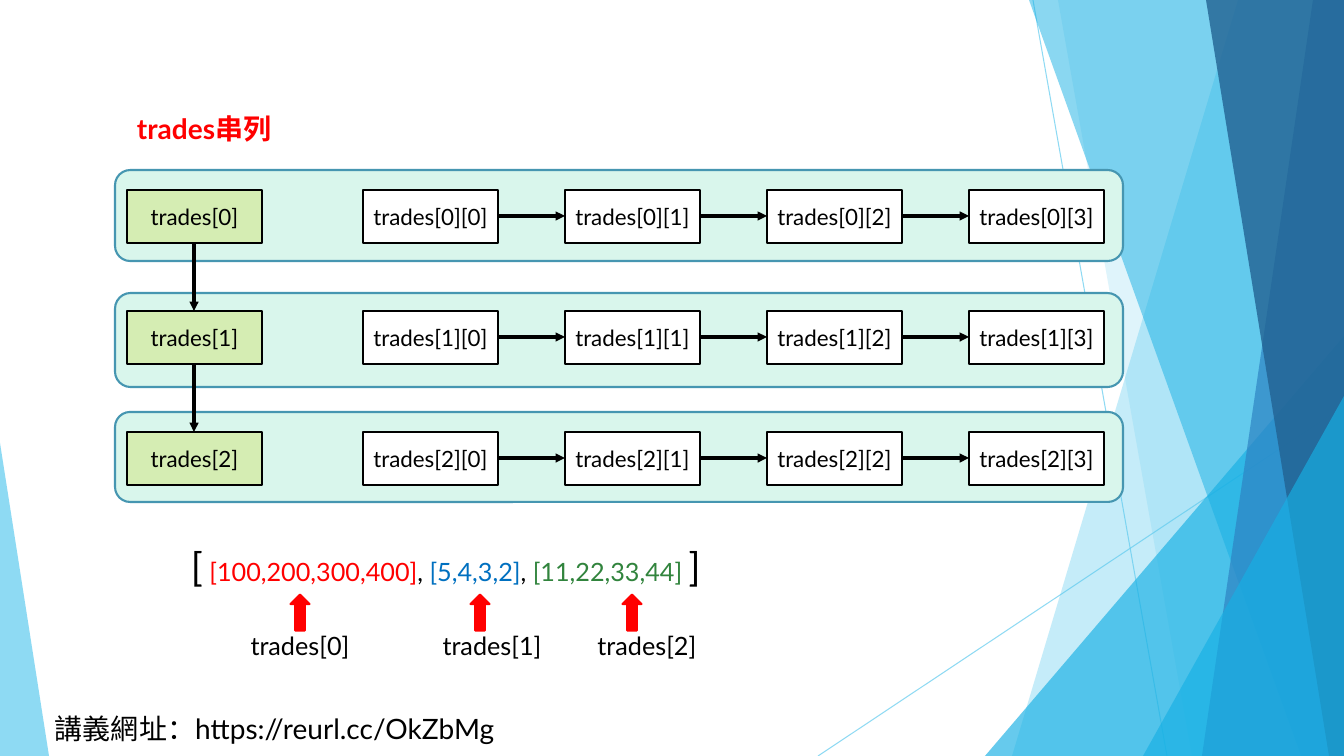
from pptx import Presentation
from pptx.dml.color import RGBColor
from pptx.enum.shapes import MSO_CONNECTOR, MSO_SHAPE
from pptx.enum.text import MSO_ANCHOR, PP_ALIGN
from pptx.oxml.ns import qn
from pptx.util import Pt
from lxml import etree

PX = 9071
STRAIGHT = MSO_CONNECTOR.STRAIGHT
RECT = MSO_SHAPE.RECTANGLE
ROUND = MSO_SHAPE.ROUNDED_RECTANGLE
PEAK = MSO_SHAPE.ISOSCELES_TRIANGLE
ARROW = MSO_SHAPE.RIGHT_ARROW
MIDDLE = MSO_ANCHOR.MIDDLE
CENTER, LEFT = PP_ALIGN.CENTER, PP_ALIGN.LEFT
FONT = "Lato"
HEX = {
    "sky": "5FCBEF", "cyan": "17B0E4", "blue": "2E83C3", "navy": "226292",
    "mint": "D9F6EC", "teal": "4696B1", "lime": "D5EDB3", "white": "FFFFFF",
    "black": "000000", "red": "FF0000", "azure": "0070C0", "green": "31843D",
}
RGB = {name: RGBColor.from_string(code) for name, code in HEX.items()}

deck = Presentation()
deck.slide_width, deck.slide_height = 1344 * PX, 756 * PX
slide = deck.slides.add_slide(deck.slide_layouts[6])
shapes = slide.shapes


def paint(shape, fill, edge=None, alpha=100):
    shape.shadow.inherit = False
    shape.fill.solid()
    shape.fill.fore_color.rgb = RGB[fill]
    if alpha < 100:
        color = shape.element.spPr.find(".//" + qn("a:srgbClr"))
        etree.SubElement(color, qn("a:alpha"), val=str(alpha * 1000))
    if edge:
        shape.line.color.rgb = RGB[edge]
        shape.line.width = Pt(1.5)
    else:
        shape.line.fill.background()


def wire(ends, hue="black", width=2.25, alpha=100, head=True):
    link = shapes.add_connector(STRAIGHT, *[v * PX for v in ends])
    link.line.color.rgb = RGB[hue]
    link.line.width = Pt(width)
    props = link.element.spPr
    if alpha < 100:
        color = props.find(".//" + qn("a:srgbClr"))
        etree.SubElement(color, qn("a:alpha"), val=str(alpha * 1000))
    if head:
        etree.SubElement(props.find(qn("a:ln")), qn("a:tailEnd"), type="triangle")
    etree.SubElement(props, qn("a:effectLst"))


for ends in [(1033, 0, 1167, 756), (1344, 406, 818, 756)]:
    wire(ends, "sky", 0.75, 70, False)

shards = [
    ((1238, 1012), "sky", 36),
    ((1058, 1192), "sky", 20),
    ((985, 336, 359, 420, 1), "cyan", 66),
    ((1029, 1301), "cyan", 50),
    ((1313, 1202), "blue", 70),
    ((1206, 1329), "navy", 80),
    ((1143, 396, 201, 360, 1), "cyan", 66),
    ((0, 443, 49, 313, 0), "sky", 70),
]
for form, hue, alpha in shards:
    if len(form) == 2:
        top, base = form
        pen = shapes.build_freeform(top, 0, scale=PX)
        pen.add_line_segments([(1344, 0), (1344, 756), (base, 756)])
        shard = pen.convert_to_shape()
    else:
        *box, tip = form
        shard = shapes.add_shape(PEAK, *[v * PX for v in box])
        shard.adjustments[0] = tip
    paint(shard, hue, alpha=alpha)

WIDE, HIGH = 135, 53
FIRST, STEP = 363, 202
for row, (top, tall) in enumerate([(170, 91), (293, 94), (412, 90)]):
    band = shapes.add_shape(ROUND, 115 * PX, top * PX, 1008 * PX, tall * PX)
    paint(band, "mint", "teal")
    y = 190 + 121 * row
    cells = [(127, f"trades[{row}]", "lime")]
    cells += [(FIRST + STEP * col, f"trades[{row}][{col}]", "white") for col in range(4)]
    for x, text, hue in cells:
        cell = shapes.add_shape(RECT, x * PX, y * PX, WIDE * PX, HIGH * PX)
        paint(cell, hue, "black")
        frame = cell.text_frame
        frame.margin_left = frame.margin_right = 0
        frame.vertical_anchor = MIDDLE
        para = frame.paragraphs[0]
        para.text = text
        para.alignment = CENTER
        para.font.name, para.font.size = FONT, Pt(16)
        para.font.color.rgb = RGB["black"]
    mid = y + HIGH // 2
    for col in range(3):
        x = FIRST + STEP * col
        wire((x + WIDE, mid, x + STEP, mid))

for row in range(2):
    y = 190 + 121 * row
    wire((194, y + HIGH, 194, y + 121))

values = [
    ("[", 28, "black"), (" ", 18, "black"),
    ("[100,200,300,400]", 18, "red"), (", ", 18, "black"),
    ("[5,4,3,2]", 18, "azure"), (", ", 18, "black"),
    ("[11,22,33,44] ", 18, "green"), ("]", 28, "black"),
]
notes = [
    ((45, 707, 480, 44), LEFT, False, [("講義網址：https://reurl.cc/OkZbMg", 20, "black")]),
    ((127, 107, 156, 44), LEFT, True, [("trades串列", 20, "red")]),
    ((181, 537, 560, 57), LEFT, False, values),
]
for row, (x, left) in enumerate([(238, 282), (430, 462), (585, 614)]):
    notes.append(((x, 625, 124, 40), CENTER, False, [(f"trades[{row}]", 18, "black")]))
    arrow = shapes.add_shape(ARROW, left * PX, 603 * PX, 36 * PX, 19 * PX)
    arrow.rotation = 270
    paint(arrow, "red", "red")

for box, align, bold, runs in notes:
    frame = shapes.add_textbox(*[v * PX for v in box]).text_frame
    frame.word_wrap = True
    para = frame.paragraphs[0]
    para.alignment = align
    para.font.name, para.font.bold = FONT, bold
    for text, size, hue in runs:
        run = para.add_run()
        run.text = text
        run.font.size = Pt(size)
        run.font.color.rgb = RGB[hue]

deck.save("out.pptx")
